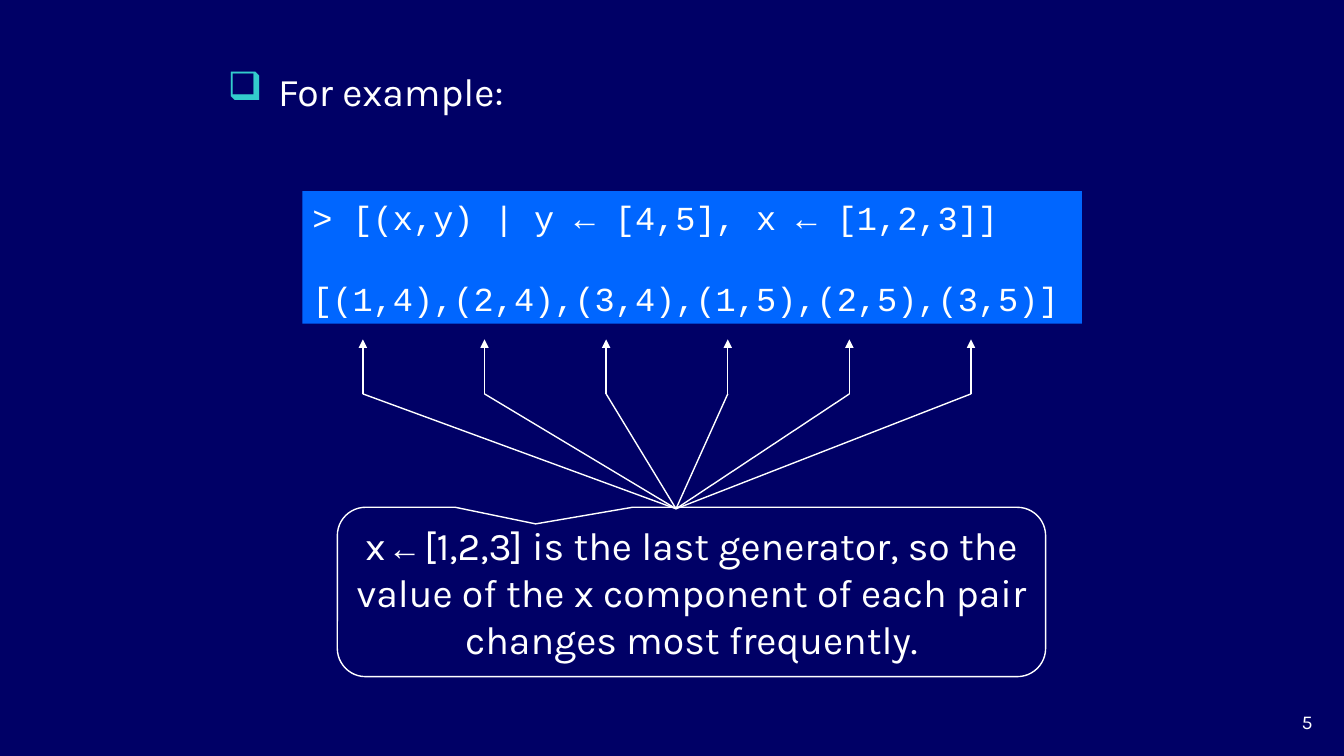
"""Build a slide on the order of generators in a list comprehension."""
from lxml import etree
from pptx import Presentation
from pptx import util as u
from pptx.dml.color import RGBColor
from pptx.enum import shapes, text
from pptx.oxml.ns import qn

WHITE, NAVY, BLUE, TEAL = "FFFFFF", "000066", "0066FF", "33CCCC"
SANS, MONO = "Karla", "Courier New"
LEFT, MID, RIGHT = text.PP_ALIGN.LEFT, text.PP_ALIGN.CENTER, text.PP_ALIGN.RIGHT


def hue(code):
    """Turn a hex string into a colour."""
    return RGBColor.from_string(code)


def say(par, words, size=28, font=SANS, color=WHITE):
    """Add a formatted run to a paragraph."""
    run = par.add_run()
    run.text = words
    run.font.size = u.Pt(size)
    run.font.name = font
    run.font.color.rgb = hue(color)


class Deck:
    """Hold the style and the current slide; lengths are percent of its size."""

    def __init__(self):
        """Open a blank navy slide."""
        self.prs = Presentation()
        self.prs.slide_width, self.prs.slide_height = u.Inches(13.33), u.Inches(7.5)
        self.slide = self.prs.slides.add_slide(self.prs.slide_layouts[6])
        self.slide.background.fill.solid()
        self.slide.background.fill.fore_color.rgb = hue(NAVY)

    def place(self, *nums):
        """Turn alternating x and y shares into lengths."""
        sides = self.prs.slide_width, self.prs.slide_height
        return [round(n * sides[i % 2] / 100) for i, n in enumerate(nums)]

    def label(self, area, align=LEFT):
        """Add a text box and return its first paragraph."""
        frame = self.slide.shapes.add_textbox(*self.place(*area)).text_frame
        frame.word_wrap = True
        par = frame.paragraphs[0]
        par.alignment = align
        return par

    def panel(self, kind, area, fill=None, line=None, wrap=True):
        """Add a shape and return it."""
        box = self.slide.shapes.add_shape(kind, *self.place(*area))
        box.shadow.inherit = False
        if fill:
            box.fill.solid()
            box.fill.fore_color.rgb = hue(fill)
        else:
            box.fill.background()
        if line:
            box.line.color.rgb = hue(line)
            box.line.width = u.Pt(1)
        else:
            box.line.fill.background()
        box.text_frame.word_wrap = wrap
        box.text_frame.vertical_anchor = text.MSO_ANCHOR.MIDDLE
        return box

    def link(self, start, end, head=False):
        """Draw a thin white line, with an arrowhead at its end if asked."""
        line = self.slide.shapes.add_connector(
            shapes.MSO_CONNECTOR.STRAIGHT, *self.place(*start, *end))
        line.line.color.rgb = hue(WHITE)
        line.line.width = u.Pt(1)
        if head:
            etree.SubElement(line.line._get_or_add_ln(), qn("a:tailEnd"), type="triangle")
        etree.SubElement(line._element.spPr, qn("a:effectLst"))

    def bullet(self, par, mark, color):
        """Give a paragraph a coloured bullet and a hanging indent."""
        par.space_before = u.Pt(5.6)
        props = par._p.get_or_add_pPr()
        props.set("marL", str(u.Inches(0.5)))
        props.set("indent", str(u.Inches(-0.5)))
        tint = etree.SubElement(props, qn("a:buClr"))
        etree.SubElement(tint, qn("a:srgbClr"), val=color)
        etree.SubElement(props, qn("a:buChar"), char=mark)


def main():
    """Draw the slide and save it."""
    deck = Deck()
    say(deck.label((91.7, 93.3, 6.7, 4.4), RIGHT), "5", size=14)

    lead = deck.label((16.2, 8.3, 23.3, 8.7))
    deck.bullet(lead, "❑", TEAL)
    say(lead, "For example:")

    code = deck.panel(shapes.MSO_SHAPE.RECTANGLE, (22.5, 25.3, 58, 17.5),
                      fill=BLUE, wrap=False).text_frame
    query, reply = code.paragraphs[0], code.add_paragraph()
    query.alignment = reply.alignment = LEFT
    reply.space_before = u.Pt(29)
    say(query, "> [(x,y) | y ← [4,5], x ← [1,2,3]]", 24, MONO)
    say(reply, "[(1,4),(2,4),(3,4),(1,5),(2,5),(3,5)]", 24, MONO)

    note = deck.panel(shapes.MSO_SHAPE.ROUNDED_RECTANGULAR_CALLOUT,
                      (25.1, 67.1, 52.7, 22.4), line=WHITE)
    for i, val in enumerate((-0.22, -0.402, 0.167)):
        note.adjustments[i] = val
    par = note.text_frame.paragraphs[0]
    par.alignment = MID
    say(par, "x ")
    say(par, "←", 24, MONO)
    say(par, " [1,2,3] is the last generator, so the value of the x component "
             "of each pair changes most frequently.")

    hub, bend, tip = (50.3, 67.3), 52.1, 44.9
    for i in range(6):
        x = 27 + 9.05 * i
        deck.link((x, bend), (x, tip), head=True)
        deck.link(hub, (x, bend))

    deck.prs.save("out.pptx")


if __name__ == "__main__":
    main()
